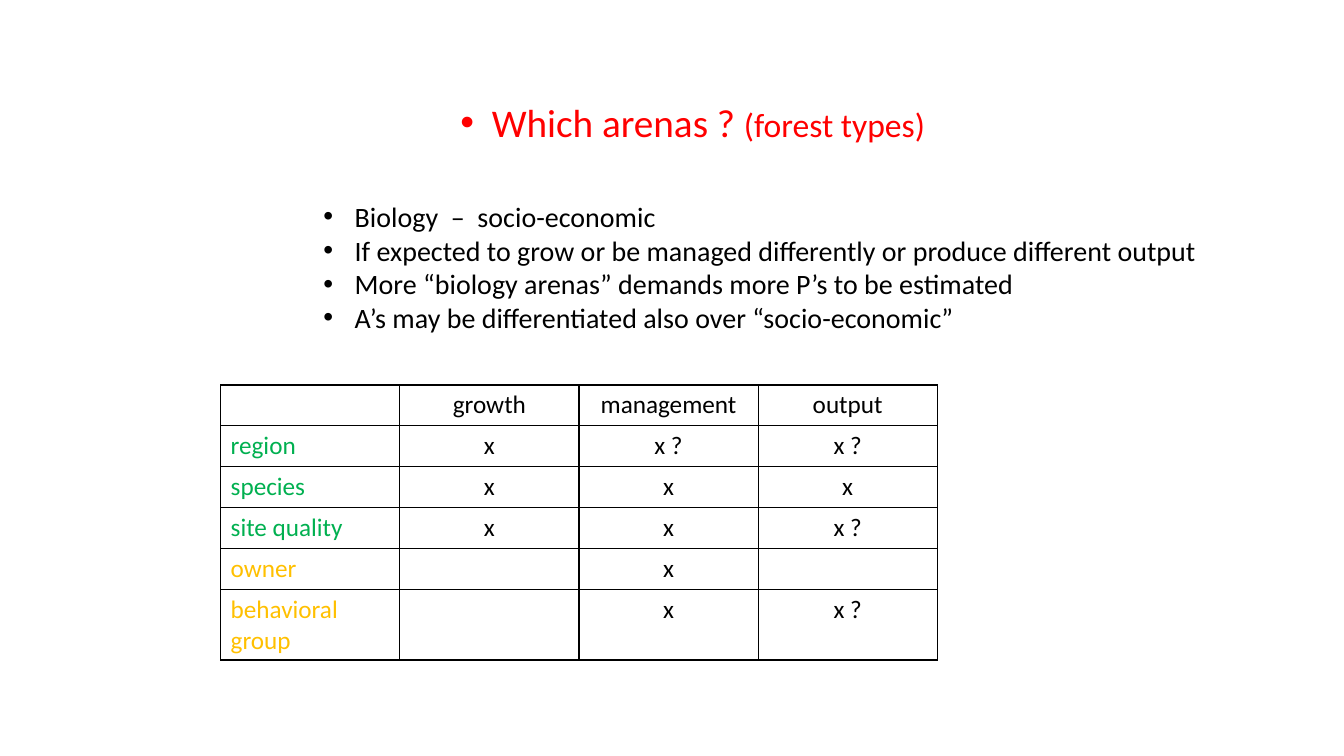
"""Build the slide on forest types as arenas."""
from pptx import Presentation as Deck
from pptx.dml.color import RGBColor as RGB
from pptx.enum.text import MSO_ANCHOR as Anchor, PP_ALIGN as Align
from pptx.oxml import parse_xml
from pptx.oxml.ns import nsdecls
from pptx.util import Cm, Pt

BLACK = RGB(0, 0, 0)
RED = RGB(255, 0, 0)
GREEN = RGB(0, 176, 80)
AMBER = RGB(255, 192, 0)


class Page:
    font = "Calibri"
    indent = Cm(0.79)

    def __init__(self, deck):
        self.slide = deck.slides.add_slide(deck.slide_layouts[5])

    def run(self, para, text, size, color):
        run = para.add_run()
        run.text = text
        for key, value in {"name": self.font, "size": Pt(size)}.items():
            setattr(run.font, key, value)
        run.font.color.rgb = color

    def bullet(self, para):
        para.alignment = Align.LEFT
        props = para._p.get_or_add_pPr()
        props.set("marL", str(self.indent))
        props.set("indent", str(-self.indent))
        for tag in ('buFont typeface="Arial"', 'buChar char="•"'):
            props.append(parse_xml(f'<a:{tag} {nsdecls("a")}/>'))

    def place(self, shape, box):
        for key, value in zip(("left", "top", "width", "height"), box):
            setattr(shape, key, Cm(value))
        frame = shape.text_frame
        for key, value in {"word_wrap": False, "vertical_anchor": Anchor.TOP}.items():
            setattr(frame, key, value)
        return frame

    def title(self, box, parts):
        para = self.place(self.slide.shapes.title, box).paragraphs[0]
        self.bullet(para)
        for text, size in parts:
            self.run(para, text, size, RED)

    def points(self, box, lines):
        shape = self.slide.shapes.add_textbox(*map(Cm, box))
        frame = self.place(shape, box)
        for i, line in enumerate(lines):
            para = frame.add_paragraph() if i else frame.paragraphs[0]
            self.bullet(para)
            self.run(para, line, 20, BLACK)

    def border(self, cell):
        props = cell._tc.get_or_add_tcPr()
        for side in "LRTB":
            props.append(parse_xml(
                f'<a:ln{side} {nsdecls("a")} w="{Pt(1)}"><a:solidFill>'
                f'<a:srgbClr val="{BLACK}"/></a:solidFill></a:ln{side}>'))
        cell.fill.background()

    def table(self, box, rows, colors, heights):
        shape = self.slide.shapes.add_table(len(rows), len(rows[0]), *map(Cm, box))
        table = shape.table
        for key in ("first_row", "horz_banding"):
            setattr(table, key, False)
        for i, row in enumerate(rows):
            table.rows[i].height = Cm(heights[i])
            for j, text in enumerate(row):
                cell = table.cell(i, j)
                self.border(cell)
                para = cell.text_frame.paragraphs[0]
                para.alignment = Align.CENTER if j else Align.LEFT
                if text:
                    self.run(para, text, 18, BLACK if j else colors[i])


deck = Deck()
deck.slide_width, deck.slide_height = Cm(33.87), Cm(19.05)
page = Page(deck)
page.title((11.35, 2.36, 12.34, 1.45), [("Which arenas ? ", 28), ("(forest types)", 24)])
page.points((7.9, 4.9, 22.73, 3.68), [
    "Biology  –  socio-economic",
    "If expected to grow or be managed differently or produce different output",
    "More “biology arenas” demands more P’s to be estimated",
    "A’s may be differentiated also over “socio-economic”",
])
page.table((5.56, 9.7, 18.06, 6.93), [
    ("", "growth", "management", "output"),
    ("region", "x", "x ?", "x ?"),
    ("species", "x", "x", "x"),
    ("site quality", "x", "x", "x ?"),
    ("owner", "", "x", ""),
    ("behavioral group", "", "x", "x ?"),
], [BLACK] + [GREEN] * 3 + [AMBER] * 2, [1.03] * 5 + [1.78])
deck.save("out.pptx")
